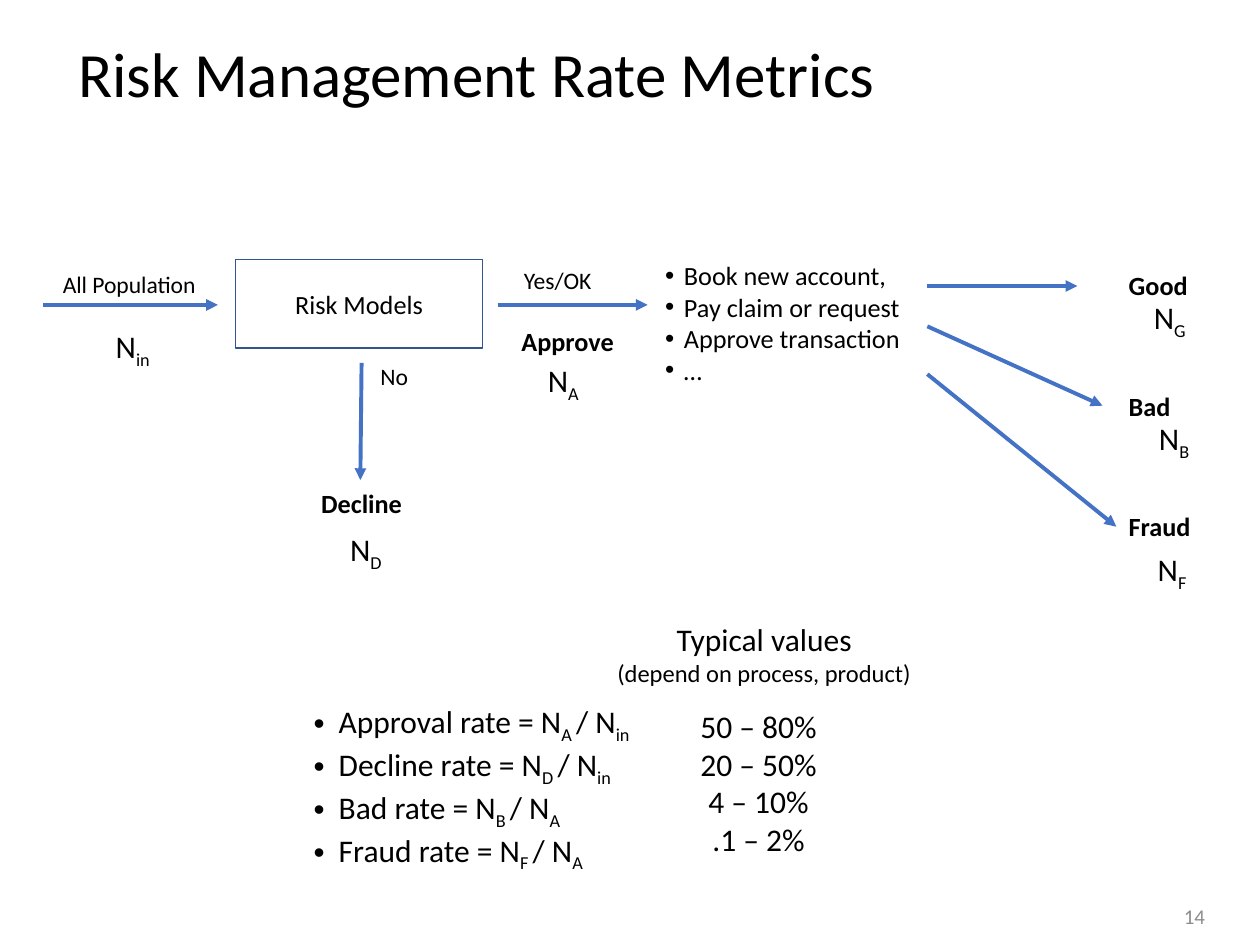
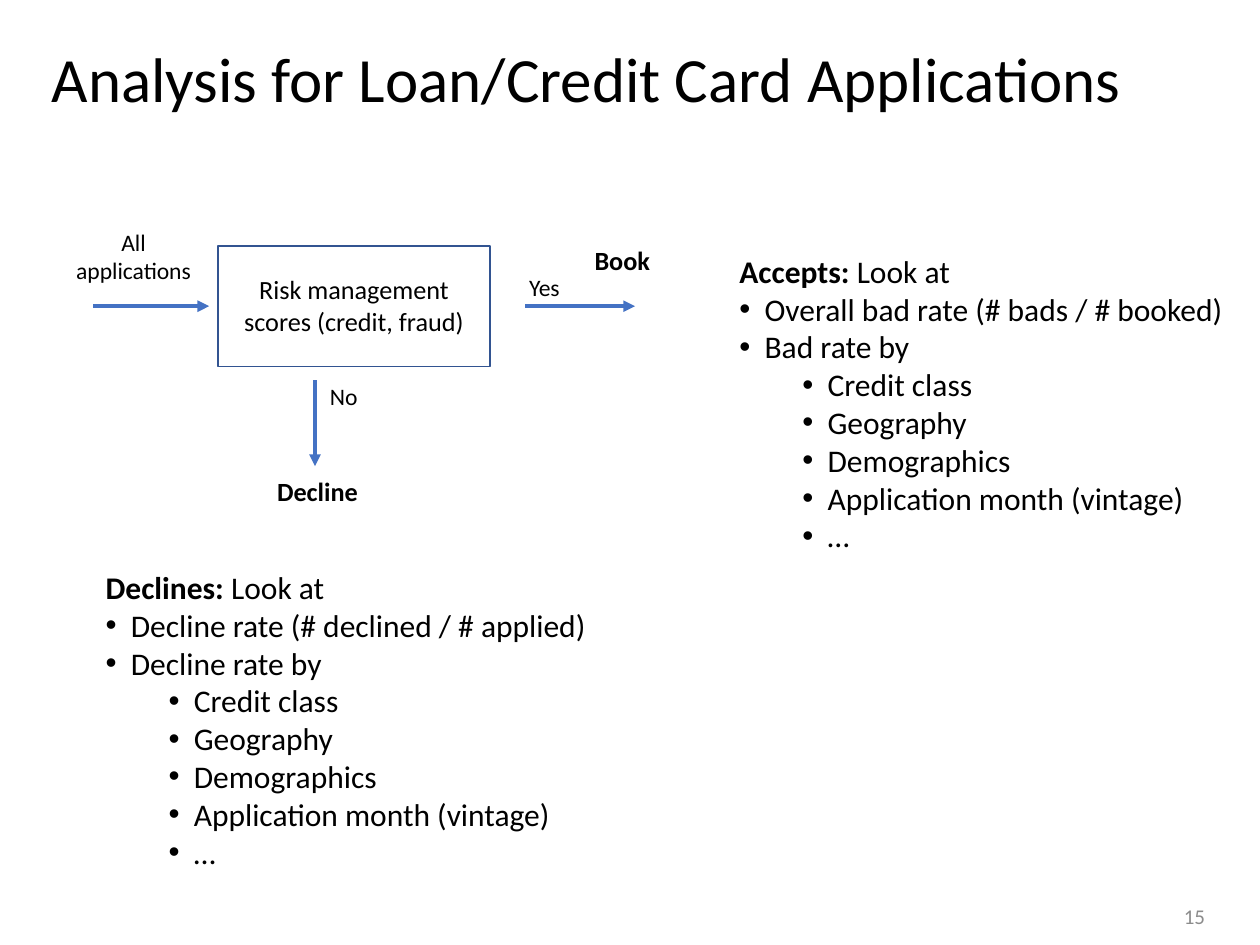
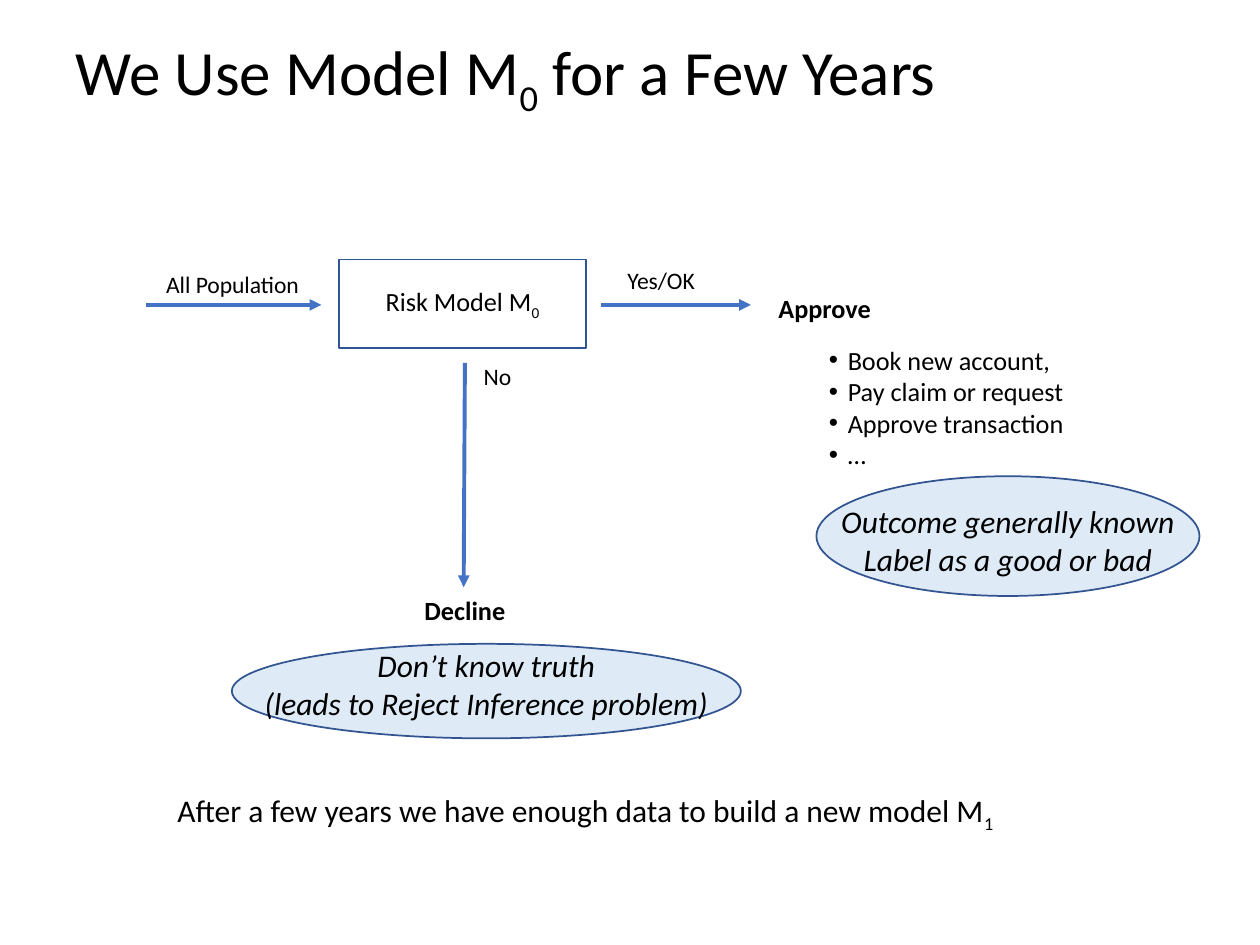
from lxml import etree
from pptx import Presentation
from pptx.dml.color import RGBColor
from pptx.enum.shapes import MSO_CONNECTOR, MSO_SHAPE
from pptx.enum.text import MSO_ANCHOR, PP_ALIGN
from pptx.oxml.ns import qn
from pptx.util import Inches, Pt

LEFT, CENTER = PP_ALIGN.LEFT, PP_ALIGN.CENTER
TOP, MIDDLE = MSO_ANCHOR.TOP, MSO_ANCHOR.MIDDLE
STRAIGHT = MSO_CONNECTOR.STRAIGHT
RECTANGLE, OVAL = MSO_SHAPE.RECTANGLE, MSO_SHAPE.OVAL

COLUMNS, ROWS = 100, 75
CELL = Inches(0.1)

FONT = "Calibri"
BLACK, GRAY = "000000", "8C8C8C"
ARROW_BLUE, OUTLINE_BLUE, PALE_BLUE = "4472C4", "325491", "DEEBF7"
TITLE_SIZE, BODY_SIZE, LABEL_SIZE, SMALL_SIZE, NUMBER_SIZE = 36, 18, 15, 13.5, 12

APPROVED_ACTIONS = ["Book new account,", "Pay claim or request", "Approve transaction", "…"]
SEGMENTS = ["Credit class", "Geography", "Demographics", "Application month (vintage)", "…"]


def color(hex_string):
    return RGBColor.from_string(hex_string)


def grid(*cells):
    return [round(cell * CELL) for cell in cells]


def write_runs(paragraph, text, size, bold=False, italic=False, ink=BLACK):
    """Write text in which *stars* enclose bold and ~tildes~ enclose subscripts."""
    for bold_index, bold_part in enumerate(text.split("*")):
        for part_index, part in enumerate(bold_part.split("~")):
            if not part:
                continue
            run = paragraph.add_run()
            run.text = part
            run.font.name = FONT
            run.font.size = Pt(size)
            run.font.bold = bold or bold_index % 2 == 1
            run.font.italic = italic
            run.font.color.rgb = color(ink)
            if part_index % 2:
                run.font._element.set("baseline", "-25000")


def add_bullet(paragraph, margin, hanging):
    properties = paragraph._p.get_or_add_pPr()
    properties.set("marL", str(Inches(margin)))
    properties.set("indent", str(-Inches(hanging)))
    etree.SubElement(properties, qn("a:buFont")).set("typeface", "Arial")
    etree.SubElement(properties, qn("a:buChar")).set("char", "•")


def fill_text(frame, lines, size, align=LEFT, anchor=TOP, wrap=False, indents=None,
              hanging=0.2, **style):
    """Write one paragraph per line; an indent of None leaves its line without a bullet."""
    frame.word_wrap = wrap
    frame.vertical_anchor = anchor
    indents = indents or [None] * len(lines)
    for index, (line, indent) in enumerate(zip(lines, indents)):
        paragraph = frame.add_paragraph() if index else frame.paragraphs[0]
        paragraph.alignment = align
        if indent is not None:
            paragraph.level = int(indent > hanging)
            add_bullet(paragraph, indent, hanging)
        write_runs(paragraph, line, size, **style)


def add_text(slide, lines, left, top, width, height=4, size=BODY_SIZE, **options):
    text_box = slide.shapes.add_textbox(*grid(left, top, width, height))
    fill_text(text_box.text_frame, lines, size, **options)
    return text_box


def add_label(slide, text, left, top, width, size=SMALL_SIZE, **options):
    add_text(slide, [text], left, top, width, 3.4, size, **options)


def add_outcome(slide, text, left, top, width):
    add_label(slide, text, left, top, width, LABEL_SIZE, bold=True)


def add_actions(slide, left, top):
    add_text(slide, APPROVED_ACTIONS, left, top, 20.8, 11.1, LABEL_SIZE,
             indents=[0.15] * len(APPROVED_ACTIONS), hanging=0.15)


def add_arrow(slide, *ends):
    arrow = slide.shapes.add_connector(STRAIGHT, *grid(*ends))
    arrow.line.color.rgb = color(ARROW_BLUE)
    arrow.line.width = Pt(2.25)
    etree.SubElement(arrow.line._get_or_add_ln(), qn("a:tailEnd")).set("type", "triangle")
    etree.SubElement(arrow._element.spPr, qn("a:effectLst"))


def add_node(slide, preset, lines, left, top, width, height, size, fill=None, lift=0, **options):
    """Draw an outlined shape with centred text, raised by lift rows."""
    node = slide.shapes.add_shape(preset, *grid(left, top, width, height))
    node.shadow.inherit = False
    node.line.color.rgb = color(OUTLINE_BLUE)
    node.line.width = Pt(1)
    if fill:
        node.fill.solid()
        node.fill.fore_color.rgb = color(fill)
    else:
        node.fill.background()
    frame = node.text_frame
    frame.margin_top = 0
    frame.margin_bottom = grid(2 * lift)[0]
    fill_text(frame, lines, size, align=CENTER, anchor=MIDDLE, **options)


def add_slide(presentation, title, left, top, number=None):
    slide = presentation.slides.add_slide(presentation.slide_layouts[5])
    placeholder = slide.shapes.title
    placeholder.left, placeholder.top, placeholder.width, placeholder.height = grid(
        left, top, 95, 7.1)
    fill_text(placeholder.text_frame, [title], TITLE_SIZE, wrap=True)
    if number:
        right = 97
        add_text(slide, [number], right - 4.4, 70.7, 4.4, 4, NUMBER_SIZE,
                 align=CENTER, anchor=MIDDLE, ink=GRAY)
    return slide


def add_decision_flow(slide, left, model, decline_top):
    """Draw population, model, approval arrow and decline arrow, starting at left."""
    axis = 24.2
    add_arrow(slide, left, axis, left + 13.9, axis)
    add_label(slide, "All Population", left + 0.6, 20.9, 12.7)
    add_node(slide, RECTANGLE, [model], left + 15.3, 20.6, 19.6, 7, LABEL_SIZE)
    add_arrow(slide, left + 36.1, axis, left + 48, axis)
    add_label(slide, "Yes/OK", left + 37.2, 20.6, 7.5)
    add_arrow(slide, left + 25.3, 28.8, left + 25.2, decline_top)
    add_label(slide, "No", left + 25.8, 28.2, 4.2)
    add_outcome(slide, "Decline", left + 21.1, decline_top + 0.1, 8.5)


def add_look_at(slide, heading, rates, left, top, width):
    add_text(slide, [f"*{heading}: *Look at", *rates, *SEGMENTS], left, top, width, 28.3,
             indents=[None] + [0.2] * len(rates) + [0.7] * len(SEGMENTS))


def build_rate_metrics(presentation):
    slide = add_slide(presentation, "Risk Management Rate Metrics", 5.2, 2.2, "14")
    add_decision_flow(slide, 3.4, "Risk Models", 38.1)
    add_outcome(slide, "Approve", 40.4, 25.3, 9.4)
    add_actions(slide, 51.8, 20.1)

    for start_row, end_column, end_row in [(22.7, 85.5, 22.7), (25.9, 87.5, 32.2),
                                           (29.7, 88.6, 41.8)]:
        add_arrow(slide, 73.6, start_row, end_column, end_row)
    for index, (outcome, width) in enumerate([("Good", 6.8), ("Bad", 5.4), ("Fraud", 7)]):
        add_outcome(slide, outcome, 88.6, 20.9 + 9.55 * index, width)

    for subscript, left, top, width in [("in", 8.2, 25.5, 4.9), ("A", 42.5, 28.2, 4.6),
                                        ("D", 26.8, 41.6, 4.7), ("G", 90.6, 23.2, 4.7),
                                        ("B", 91, 32.8, 4.6), ("F", 90.9, 43.2, 4.4)]:
        add_text(slide, [f"N~{subscript}~"], left, top, width)

    rates = [("Approval", "A", "in"), ("Decline", "D", "in"), ("Bad", "B", "A"),
             ("Fraud", "F", "A")]
    formulas = [f"{name} rate = N~{part} ~/ N~{whole}~" for name, part, whole in rates]
    add_text(slide, formulas, 23.9, 55.2, 27.7, 16.2, indents=[0.2] * len(formulas))
    heading = add_text(slide, ["Typical values", "(depend on process, product)"],
                       47.9, 48.7, 25.5, 6.4, align=CENTER)
    heading.text_frame.paragraphs[1].runs[0].font.size = Pt(14)
    add_text(slide, ["50 – 80%", "20 – 50%", "4 – 10%", ".1 – 2%"],
             54.5, 55.6, 11.4, 12.9, align=CENTER)


def build_application_analysis(presentation):
    slide = add_slide(presentation, "Analysis for Loan/Credit Card Applications", 3.1, 2.6, "15")
    axis = 24.3
    add_text(slide, ["All applications"], 4.6, 17.6, 12, 5.6, SMALL_SIZE,
             align=CENTER, wrap=True)
    add_arrow(slide, 7.4, axis, 16.6, axis)
    add_node(slide, RECTANGLE, ["Risk management scores (credit, fraud)"],
             17.3, 19.5, 21.6, 9.6, LABEL_SIZE, wrap=True, lift=0.1)
    add_arrow(slide, 41.7, axis, 50.4, axis)
    add_label(slide, "Yes", 41, 21.2, 4.5)
    add_outcome(slide, "Book", 46.2, 18.9, 6.5)
    add_arrow(slide, 25, 30.2, 25, 37)
    add_label(slide, "No", 25.2, 29.8, 4.2)
    add_outcome(slide, "Decline", 21, 37.2, 8.5)
    add_look_at(slide, "Accepts", ["Overall bad rate (# bads / # booked)", "Bad rate by"],
                57.7, 19.5, 40.8)
    add_look_at(slide, "Declines", ["Decline rate (# declined / # applied)", "Decline rate by"],
                7.4, 44.6, 40.7)


def build_first_model(presentation):
    slide = add_slide(presentation, "We Use Model M~0~ for a Few Years", 5, 2.1)
    add_decision_flow(slide, 11.6, "Risk Model M~0~", 46.6)
    add_outcome(slide, "Approve", 60.8, 22.7, 9.4)
    add_actions(slide, 64.8, 26.8)
    add_node(slide, OVAL, ["Outcome generally known", "Label as a good or bad"],
             64.8, 37.8, 30.4, 9.5, BODY_SIZE, PALE_BLUE, lift=-0.3, italic=True)
    add_node(slide, OVAL, ["Don’t know truth", "(leads to Reject Inference problem)"],
             18.4, 51.1, 40.4, 7.5, BODY_SIZE, PALE_BLUE, lift=0.6, italic=True)
    add_text(slide, ["After a few years we have enough data to build a new model M~1~"],
             13.1, 62.3, 68.2)


def main():
    presentation = Presentation()
    presentation.slide_width, presentation.slide_height = grid(COLUMNS, ROWS)
    build_rate_metrics(presentation)
    build_application_analysis(presentation)
    build_first_model(presentation)
    presentation.save("out.pptx")


if __name__ == "__main__":
    main()
